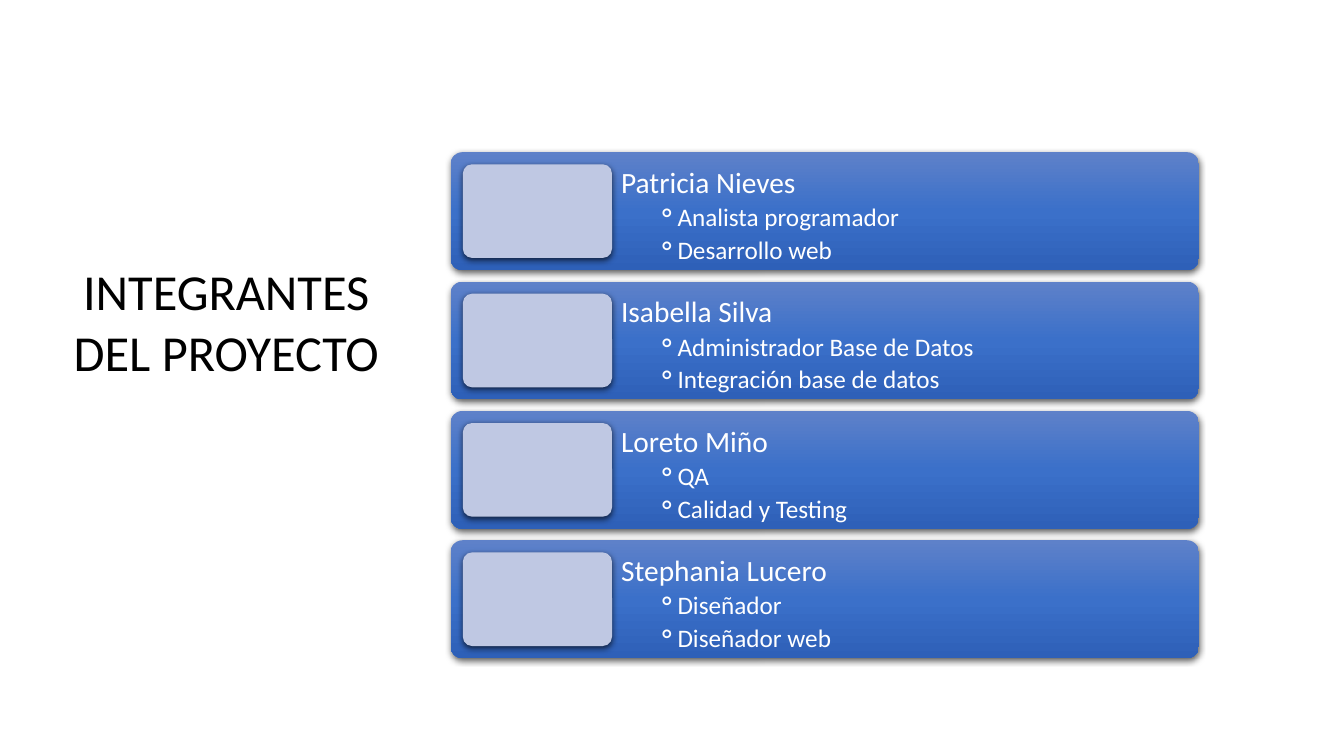
from dataclasses import dataclass

from lxml.etree import SubElement
from pptx import Presentation
from pptx.dml.color import RGBColor
from pptx.enum.shapes import MSO_SHAPE
from pptx.enum.text import MSO_ANCHOR, PP_ALIGN
from pptx.oxml import parse_xml
from pptx.oxml.ns import nsdecls, qn
from pptx.util import Inches, Pt


@dataclass(frozen=True)
class Theme:
    font: str = "Calibri"
    ink: str = "000000"
    light: str = "FFFFFF"
    photo: str = "BFC8E3"
    card: tuple = ((0, "5E81C9"), (50, "3B70C9"), (100, "2E60B8"))
    title: int = 36
    name: int = 21
    role: int = 18


THEME = Theme()
TEAM = [
    ("Patricia Nieves", "Analista programador", "Desarrollo web"),
    ("Isabella Silva", "Administrador Base de Datos", "Integración base de datos"),
    ("Loreto Miño", "QA", "Calidad y Testing"),
    ("Stephania Lucero", "Diseñador", "Diseñador web"),
]


def add_text(frame, text, size, color, align=PP_ALIGN.LEFT, space=None, bullet=None):
    """Write a paragraph, using the empty first one if it is free."""
    para = frame.paragraphs[0]
    if para.runs:
        para = frame.add_paragraph()
    para.alignment = align
    if space:
        para.line_spacing = space
    run = para.add_run()
    run.text = text
    font = run.font
    font.name, font.size = THEME.font, Pt(size)
    font.color.rgb = RGBColor.from_string(color)
    if bullet:
        para.level = 1
        props = para._p.get_or_add_pPr()
        props.set("marL", str(Inches(0.47)))
        props.set("indent", str(Inches(-0.12)))
        tint = SubElement(props, qn("a:buClr"))
        SubElement(tint, qn("a:srgbClr"), val=color)
        SubElement(props, qn("a:buChar"), char=bullet)


def add_frame(slide, box, inset, anchor):
    """Add a wrapping text box; inset is its side and top margin."""
    frame = slide.shapes.add_textbox(*map(Inches, box)).text_frame
    frame.word_wrap = True
    frame.vertical_anchor = anchor
    side, top = map(Inches, inset)
    frame.margin_left = frame.margin_right = side
    frame.margin_top = frame.margin_bottom = top
    return frame


def add_panel(slide, box):
    """Add a rounded panel with a soft shadow below it."""
    panel = slide.shapes.add_shape(MSO_SHAPE.ROUNDED_RECTANGLE, *map(Inches, box))
    panel.adjustments[0] = 0.1
    panel.line.fill.background()
    panel._element.spPr.append(parse_xml(
        f'<a:effectLst {nsdecls("a")}><a:outerShdw blurRad="{Pt(4.5)}" '
        f'dist="{Pt(1.5)}" dir="5400000" rotWithShape="0"><a:srgbClr val="{THEME.ink}">'
        '<a:alpha val="63000"/></a:srgbClr></a:outerShdw></a:effectLst>'))
    return panel


def shade(panel, stops):
    """Fill a panel from top to bottom with the colour stops."""
    marks = "".join(f'<a:gs pos="{pos * 1000}"><a:srgbClr val="{color}"/></a:gs>'
                    for pos, color in stops)
    panel._element.spPr.find(qn("a:prstGeom")).addnext(parse_xml(
        f'<a:gradFill {nsdecls("a")} rotWithShape="1"><a:gsLst>{marks}</a:gsLst>'
        '<a:lin ang="5400000" scaled="0"/></a:gradFill>'))


def add_title(slide, box):
    frame = add_frame(slide, box, (0.1, 0.05), MSO_ANCHOR.MIDDLE)
    add_text(frame, "INTEGRANTES DEL PROYECTO", THEME.title, THEME.ink,
             align=PP_ALIGN.CENTER)


def add_card(slide, box, name, roles):
    left, top, width, height = box
    pad, photo = 0.12, 1.48
    shade(add_panel(slide, box), THEME.card)
    inner = left + pad + photo
    frame = add_frame(slide, (inner, top, left + width - inner, height),
                      (0.09, 0.09), MSO_ANCHOR.TOP)
    add_text(frame, name, THEME.name, THEME.light, space=1.08)
    for role in roles:
        add_text(frame, role, THEME.role, THEME.light, space=1.08, bullet="⚬")
    panel = add_panel(slide, (left + pad, top + pad, photo, height - 2 * pad))
    panel.fill.solid()
    panel.fill.fore_color.rgb = RGBColor.from_string(THEME.photo)


def add_team(slide, box):
    """Stack one card per member, with equal gaps, in the box."""
    left, top, width, height = box
    card = 1.17
    step = (height - card) / (len(TEAM) - 1)
    for row, (name, *roles) in enumerate(TEAM):
        add_card(slide, (left, top + row * step, width, card), name, roles)


def main():
    deck = Presentation()
    deck.slide_width, deck.slide_height = Inches(13.33), Inches(7.5)
    slide = deck.slides.add_slide(deck.slide_layouts[6])
    add_title(slide, (0.61, 2.53, 3.27, 1.31))
    add_team(slide, (4.47, 1.51, 7.42, 5.02))
    deck.save("out.pptx")


if __name__ == "__main__":
    main()
